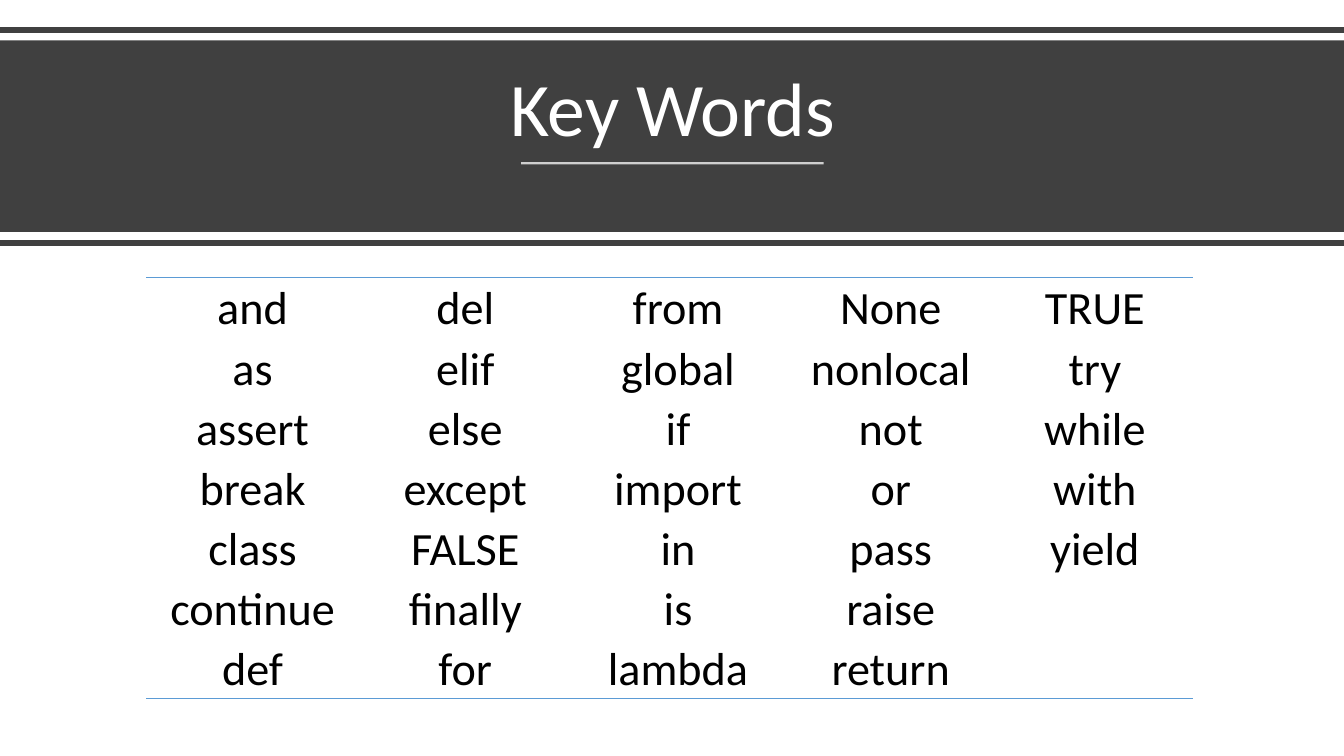
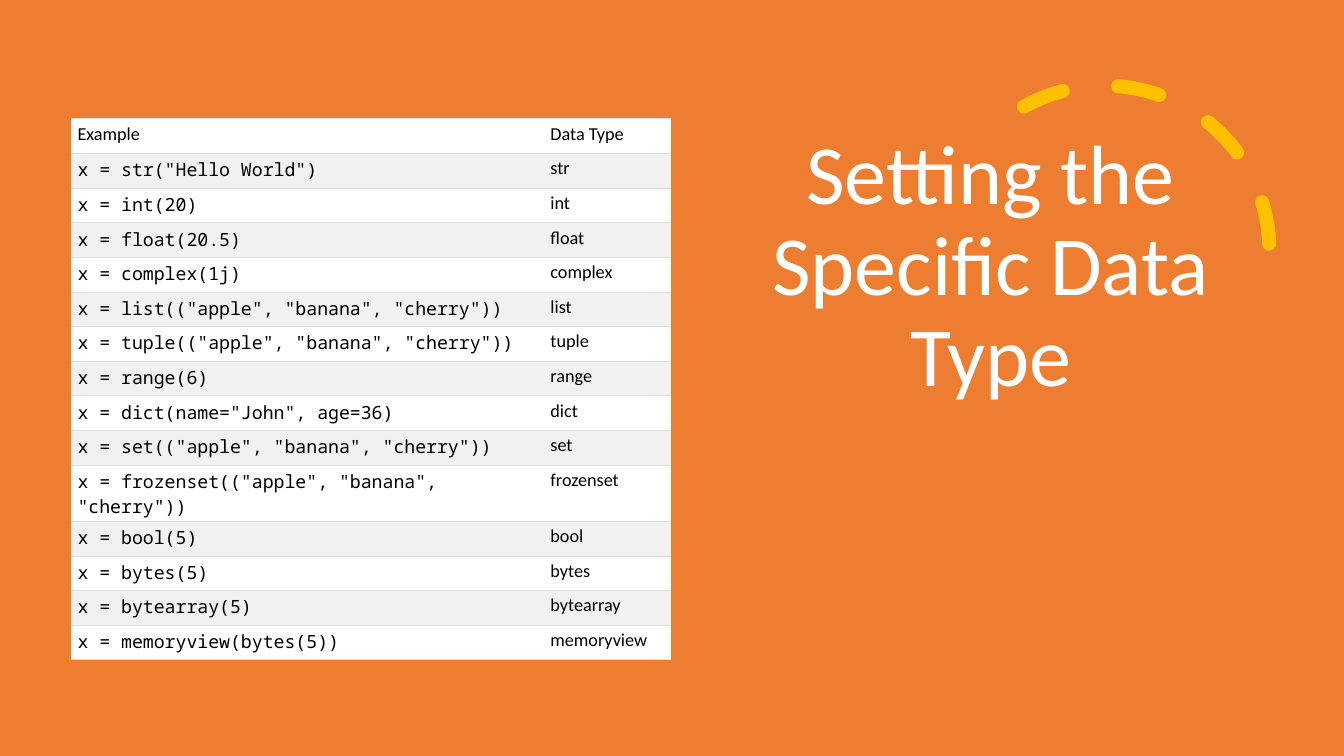
from dataclasses import dataclass
from itertools import zip_longest

from lxml.etree import SubElement
from pptx import Presentation
from pptx.dml.color import RGBColor as RGB
from pptx.enum.dml import MSO_LINE as DASH
from pptx.enum.shapes import MSO_CONNECTOR as LINK, MSO_SHAPE as SHAPE
from pptx.enum.text import MSO_ANCHOR as ANCHOR, PP_ALIGN as ALIGN
from pptx.oxml import parse_xml
from pptx.oxml.ns import nsdecls, qn
from pptx.util import Inches, Pt


@dataclass(frozen=True)
class Theme:
    """Colours, fonts and type sizes of the deck."""
    white: str = "FFFFFF"
    black: str = "000000"
    dark: str = "404040"
    orange: str = "ED7D31"
    gold: str = "FFC000"
    blue: str = "5B9BD5"
    grey: str = "DDDDDD"
    pale: str = "F1F1F1"
    font: str = "Calibri"
    mono: str = "Noto Sans Mono"
    title: int = 54
    large: int = 60
    word: int = 33
    code: int = 13
    plain: str = "{2D5ABB26-0587-4C30-8999-92F81FD0307C}"


theme = Theme()


def add_grid(slide, box, widths, rows, size):
    """Add an unstyled table of texts and return it."""
    frame = slide.shapes.add_table(len(rows), len(widths), *map(Inches, box))
    table = frame.table
    table.first_row = table.horz_banding = False
    for style in table._tbl.iter(qn("a:tableStyleId")):
        style.text = theme.plain
    for column, width in zip(table.columns, widths):
        column.width = Inches(width)
    for row, texts in zip(table.rows, rows):
        row.height = Inches(box[3] / len(rows))
        for cell, text in zip(row.cells, texts):
            cell.text = text
            font = cell.text_frame.paragraphs[0].font
            font.name, font.size = theme.font, Pt(size)
            font.color.rgb = RGB.from_string(theme.black)
    return table


def add_edge(cell, side, color, width):
    """Draw the top (T) or bottom (B) border of a cell."""
    props = cell._tc.get_or_add_tcPr()
    line = parse_xml(
        f'<a:ln{side} {nsdecls("a")} w="{Pt(width)}"><a:solidFill>'
        f'<a:srgbClr val="{color}"/></a:solidFill></a:ln{side}>')
    props.insert(len(props.findall(qn("a:lnT"))), line)


deck = Presentation()
deck.slide_width, deck.slide_height = Inches(13.33), Inches(7.5)
blank = deck.slide_layouts[6]
words, types = [deck.slides.add_slide(blank) for _ in range(2)]

# Colour areas
for slide, top, height, color in (
    (words, 0.4, 1.9, theme.dark),
    (types, 0, 7.5, theme.orange),
):
    band = slide.shapes.add_shape(
        SHAPE.RECTANGLE, 0, Inches(top), deck.slide_width, Inches(height))
    band.shadow.inherit = False
    band.fill.solid()
    band.fill.fore_color.rgb = RGB.from_string(color)
    band.line.fill.background()

# Key words: rules around the band and under the title
for left, right, y, color, width, alpha in (
    (0, 13.33, 0.3, theme.dark, 4, 100),
    (5.17, 8.17, 1.62, theme.white, 1.5, 75),
    (0, 13.33, 2.41, theme.dark, 4, 100),
):
    rule = words.shapes.add_connector(
        LINK.STRAIGHT, Inches(left), Inches(y), Inches(right), Inches(y))
    rule.line.color.rgb = RGB.from_string(color)
    rule.line.width = Pt(width)
    if alpha < 100:
        tint = next(rule._element.spPr.iter(qn("a:srgbClr")))
        SubElement(tint, qn("a:alpha"), val=str(alpha * 1000))
    SubElement(rule._element.spPr, qn("a:effectLst"))

# Data types: dashed arc
arc = types.shapes.add_shape(
    SHAPE.ARC, Inches(9.32), Inches(0.85), Inches(3.27), Inches(3.27))
arc.shadow.inherit = False
arc.adjustments[0], arc.adjustments[1] = 144.42, 0
arc.fill.background()
arc.line.color.rgb = RGB.from_string(theme.gold)
arc.line.width = Pt(10)
arc.line.dash_style = DASH.DASH
arc.line._get_or_add_ln().set("cap", "rnd")

# Titles
for slide, box, size, text in (
    (words, (0.58, 0.54, 12.18, 1.02), theme.title, "Key Words"),
    (types, (7.02, 1.05, 5.61, 3.01), theme.large,
     "Setting the Specific Data Type"),
):
    frame = slide.shapes.add_textbox(*map(Inches, box)).text_frame
    frame.word_wrap = True
    frame.vertical_anchor = ANCHOR.BOTTOM
    frame.text = text
    title = frame.paragraphs[0]
    title.alignment, title.line_spacing = ALIGN.CENTER, 0.9
    title.font.name, title.font.size = theme.font, Pt(size)
    title.font.color.rgb = RGB.from_string(theme.white)

# Key words: one list per column
lists = (
    "and as assert break class continue def",
    "del elif else except FALSE finally for",
    "from global if import in is lambda",
    "None nonlocal not or pass raise return",
    "TRUE try while with yield",
)
rows = list(zip_longest(*(text.split() for text in lists), fillvalue=""))
table = add_grid(words, (1.45, 2.75, 10.38, 4.18), [2.11] * 4 + [1.94],
                 rows, theme.word)
for cell in table.iter_cells():
    cell.fill.background()
    cell.vertical_anchor = ANCHOR.BOTTOM
    cell.margin_left = cell.margin_right = cell.margin_top = Inches(0.01)
    cell.margin_bottom = 0
    cell.text_frame.paragraphs[0].alignment = ALIGN.CENTER
for side, row in (("T", 0), ("B", len(rows) - 1)):
    for cell in table.rows[row].cells:
        add_edge(cell, side, theme.blue, 1)

# Data types: the type is the name of the function called
fruit = '("apple", "banana", "cherry")'
calls = (
    ("str", '"Hello World"'),
    ("int", "20"),
    ("float", "20.5"),
    ("complex", "1j"),
    ("list", fruit),
    ("tuple", fruit),
    ("range", "6"),
    ("dict", 'name="John", age=36'),
    ("set", fruit),
    ("frozenset", fruit),
    ("bool", "5"),
    ("bytes", "5"),
    ("bytearray", "5"),
    ("memoryview", "bytes(5)"),
)
rows = [("Example", "Data Type")]
rows += [(f"x = {name}({value})", name) for name, value in calls]
table = add_grid(types, (0.7, 1.18, 5.96, 5.15), (4.72, 1.24),
                 rows, theme.code)
for index, row in enumerate(table.rows):
    for cell, left in zip(row.cells, (0.07, 0.04)):
        cell.fill.solid()
        cell.fill.fore_color.rgb = RGB.from_string(
            theme.pale if index % 2 else theme.white)
        cell.margin_left = Inches(left)
        cell.margin_right = cell.margin_top = Inches(0.04)
        cell.margin_bottom = Inches(0.04)
        for side in "TB":
            add_edge(cell, side, theme.grey, 0.75)
    if index:
        row.cells[0].text_frame.paragraphs[0].font.name = theme.mono
    if rows[index][1] == "frozenset":
        row.height = Inches(0.56)  # room for two lines

deck.save("out.pptx")
